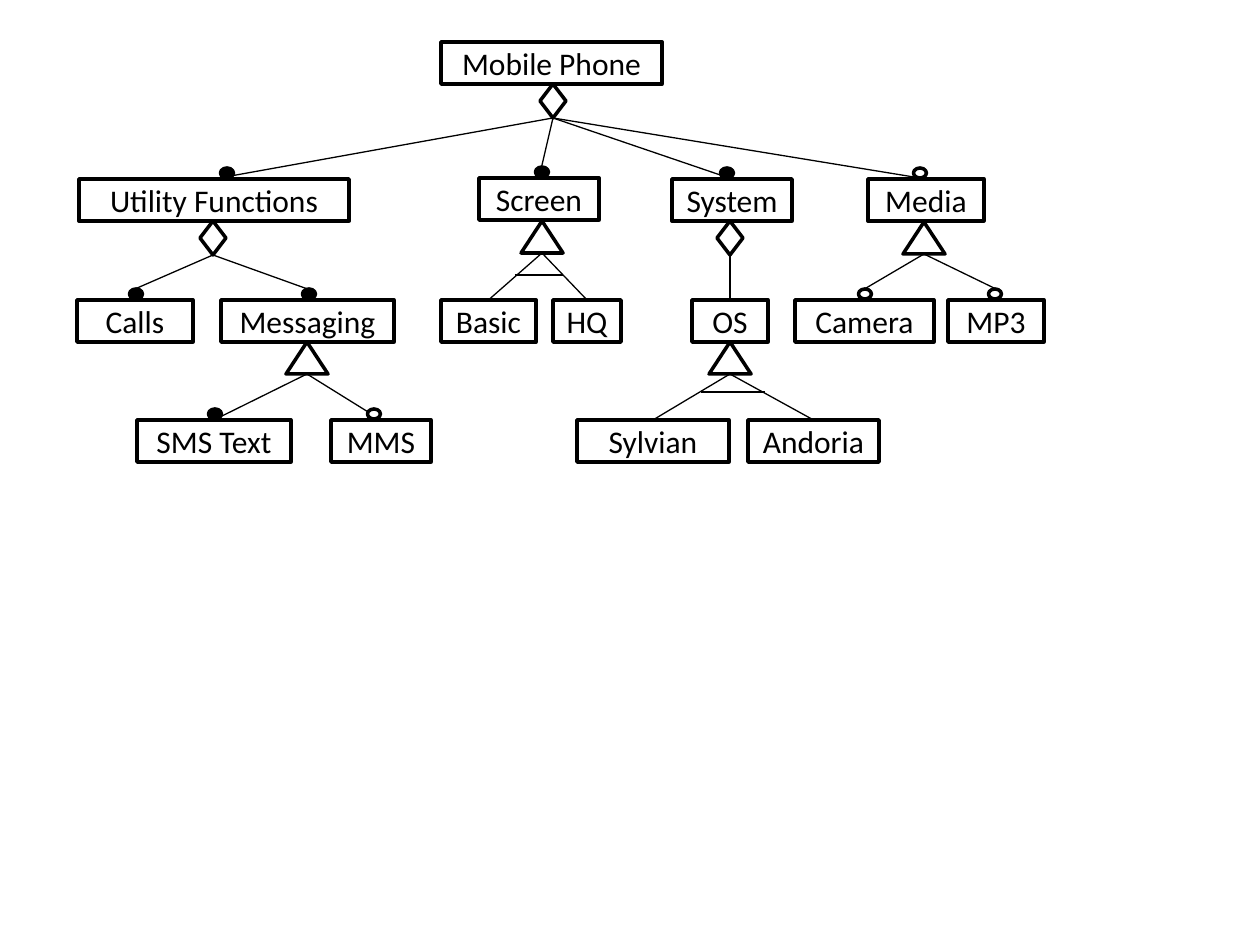
from collections import namedtuple

from lxml import etree
from pptx import Presentation
from pptx.dml.color import RGBColor
from pptx.enum.shapes import MSO_CONNECTOR, MSO_SHAPE
from pptx.enum.text import MSO_ANCHOR, PP_ALIGN
from pptx.oxml.ns import qn
from pptx.util import Emu, Pt

RECTANGLE = MSO_SHAPE.RECTANGLE
ELLIPSE = MSO_SHAPE.OVAL
DIAMOND = MSO_SHAPE.FLOWCHART_DECISION
TRIANGLE = MSO_SHAPE.ISOSCELES_TRIANGLE
STRAIGHT = MSO_CONNECTOR.STRAIGHT
MIDDLE = MSO_ANCHOR.MIDDLE
CENTER = PP_ALIGN.CENTER

COLORS = {"ink": "000000", "paper": "FFFFFF"}
EMU_PER_PIXEL = 914400 / 126
BOX_HEIGHT = 42
DOT_WIDTH, DOT_HEIGHT, DOT_RISE = 13, 10, 11
SYMBOL_SIZES = {DIAMOND: (26, 34), TRIANGLE: (42, 32)}
MANDATORY, OPTIONAL = "ink", "paper"

Feature = namedtuple("Feature", "name left top width parent dot dot_x line_rise",
                     defaults=(None, None, None, 0))
Symbol = namedtuple("Symbol", "kind center top")

FEATURES = [
    Feature("Mobile Phone", 441, 42, 221),
    Feature("Utility Functions", 79, 179, 270, "Mobile Phone", MANDATORY, 227),
    Feature("Screen", 479, 178, 120, "Mobile Phone", MANDATORY, 542),
    Feature("System", 672, 179, 120, "Mobile Phone", MANDATORY, 727),
    Feature("Media", 868, 179, 116, "Mobile Phone", OPTIONAL, 920),
    Feature("Calls", 77, 300, 116, "Utility Functions", MANDATORY, 136, DOT_RISE),
    Feature("Messaging", 221, 300, 173, "Utility Functions", MANDATORY, 309, DOT_RISE),
    Feature("Basic", 441, 300, 95, "Screen"),
    Feature("HQ", 553, 300, 68, "Screen"),
    Feature("OS", 692, 300, 76, "System"),
    Feature("Camera", 795, 300, 139, "Media", OPTIONAL, 865, DOT_RISE),
    Feature("MP3", 948, 300, 96, "Media", OPTIONAL, 995, DOT_RISE),
    Feature("SMS Text", 137, 420, 154, "Messaging", MANDATORY, 215),
    Feature("MMS", 331, 420, 100, "Messaging", OPTIONAL, 374),
    Feature("Sylvian", 577, 420, 152, "OS"),
    Feature("Andoria", 748, 420, 131, "OS"),
]

SYMBOLS = {
    "Mobile Phone": Symbol(DIAMOND, 553, 84),
    "Utility Functions": Symbol(DIAMOND, 213, 221),
    "Screen": Symbol(TRIANGLE, 542, 221),
    "System": Symbol(DIAMOND, 730, 221),
    "Media": Symbol(TRIANGLE, 924, 222),
    "Messaging": Symbol(TRIANGLE, 307, 342),
    "OS": Symbol(TRIANGLE, 730, 342),
}

ALTERNATIVE_BARS = [(515, 563, 275), (701, 765, 392)]


def px(value):
    return Emu(round(value * EMU_PER_PIXEL))


def color(name):
    return RGBColor.from_string(COLORS[name])


def add_outlined(slide, kind, left, top, width, height, fill="paper"):
    shape = slide.shapes.add_shape(kind, px(left), px(top), px(width), px(height))
    shape.shadow.inherit = False
    shape.fill.solid()
    shape.fill.fore_color.rgb = color(fill)
    shape.line.color.rgb = color("ink")
    shape.line.width = Pt(2)
    return shape


def add_line(slide, start_x, start_y, end_x, end_y):
    line = slide.shapes.add_connector(STRAIGHT, px(start_x), px(start_y), px(end_x), px(end_y))
    line.line.color.rgb = color("ink")
    line.line.width = Pt(0.75)
    etree.SubElement(line._element.spPr, qn("a:effectLst"))


def add_box(slide, feature):
    shape = add_outlined(slide, RECTANGLE, feature.left, feature.top, feature.width, BOX_HEIGHT)
    frame = shape.text_frame
    frame.text = feature.name
    frame.word_wrap = True
    frame.vertical_anchor = MIDDLE
    paragraph = frame.paragraphs[0]
    paragraph.alignment = CENTER
    font = paragraph.runs[0].font
    font.name = "Calibri"
    font.size = Pt(18)
    font.color.rgb = color("ink")


def add_branch(slide, feature):
    symbol = SYMBOLS[feature.parent]
    base = symbol.top + SYMBOL_SIZES[symbol.kind][1]
    add_line(slide, symbol.center, base,
             feature.left + feature.width / 2, feature.top - feature.line_rise)


def add_dot(slide, feature):
    add_outlined(slide, ELLIPSE, feature.dot_x - DOT_WIDTH / 2, feature.top - DOT_RISE,
                 DOT_WIDTH, DOT_HEIGHT, feature.dot)


def add_symbol(slide, symbol):
    width, height = SYMBOL_SIZES[symbol.kind]
    add_outlined(slide, symbol.kind, symbol.center - width / 2, symbol.top, width, height)


def main():
    presentation = Presentation()
    presentation.slide_width = px(1260)
    presentation.slide_height = px(945)
    slide = presentation.slides.add_slide(presentation.slide_layouts[6])
    for feature in FEATURES:
        add_box(slide, feature)
        if feature.parent:
            add_branch(slide, feature)
        if feature.dot:
            add_dot(slide, feature)
    for symbol in SYMBOLS.values():
        add_symbol(slide, symbol)
    for left, right, height in ALTERNATIVE_BARS:
        add_line(slide, left, height, right, height)
    presentation.save("out.pptx")


main()
